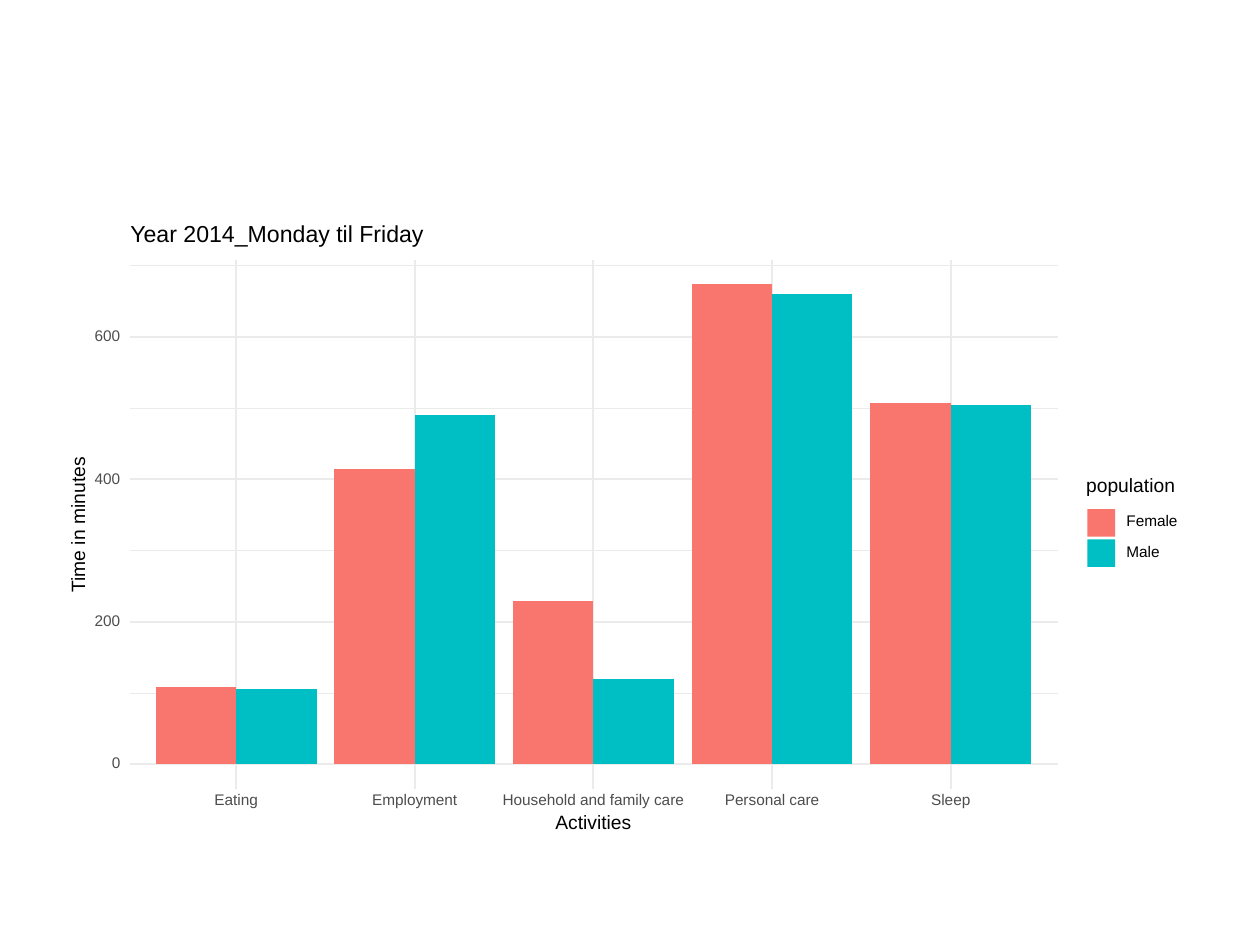
from lxml import etree
from pptx import Presentation
from pptx import util as u
from pptx.chart.data import CategoryChartData
from pptx.dml.color import RGBColor
from pptx.enum import chart as ch, shapes, text
from pptx.oxml import ns

FEMALE = RGBColor(0xF8, 0x76, 0x6D)
MALE = RGBColor(0x00, 0xBF, 0xC4)
GRID = RGBColor(0xEB, 0xEB, 0xEB)
LABEL = RGBColor(0x4D, 0x4D, 0x4D)
BLACK = RGBColor(0, 0, 0)
WHITE = RGBColor(0xFF, 0xFF, 0xFF)
FONT = "Arial"

PANEL = (0.5, 1.75, 9, 4.95)
GRID_LEFT, GRID_RIGHT, GRID_TOP, GRID_BOTTOM = 1.03, 8.4, 2.06, 6.26
BASELINE, PER_HUNDRED, MAX_MINUTES = 6.065, 0.565, 700
FIRST_CENTER, PITCH = 1.874, 1.418

ACTIVITIES = [("Eating", 0.39), ("Employment", 0.72), ("Household and family care", 1.5),
              ("Personal care", 0.8), ("Sleep", 0.36)]
POPULATION = [("Female", FEMALE, (108, 414, 229, 675, 507), 0.45),
              ("Male", MALE, (106, 491, 119, 660, 504), 0.31)]


def minutes_to_y(minutes):
    return BASELINE - minutes / 100 * PER_HUNDRED


def activity_center(index):
    return FIRST_CENTER + index * PITCH


def add_block(slide, left, top, width, height, color):
    block = slide.shapes.add_shape(shapes.MSO_SHAPE.RECTANGLE, u.Inches(left), u.Inches(top),
                                   u.Inches(width), u.Inches(height))
    block.shadow.inherit = False
    block.fill.solid()
    block.fill.fore_color.rgb = color
    block.line.fill.background()


def add_grid_line(slide, x1, y1, x2, y2, weight):
    line = slide.shapes.add_connector(shapes.MSO_CONNECTOR.STRAIGHT, u.Inches(x1), u.Inches(y1),
                                      u.Inches(x2), u.Inches(y2))
    line.line.color.rgb = GRID
    line.line.width = u.Pt(weight)
    etree.SubElement(line._element.spPr, ns.qn("a:effectLst"))


def add_label(slide, wording, left, top, width, height=0.11, size=8.8, color=BLACK,
              align=text.PP_ALIGN.LEFT, rotation=0):
    label = slide.shapes.add_textbox(u.Inches(left), u.Inches(top), u.Inches(width), u.Inches(height))
    label.rotation = rotation
    frame = label.text_frame
    frame.margin_left = frame.margin_right = frame.margin_top = frame.margin_bottom = 0
    frame.word_wrap = False
    frame.vertical_anchor = text.MSO_ANCHOR.MIDDLE
    paragraph = frame.paragraphs[0]
    paragraph.alignment = align
    paragraph.line_spacing = u.Pt(size)
    run = paragraph.add_run()
    run.text = wording
    run.font.name = FONT
    run.font.size = u.Pt(size)
    run.font.color.rgb = color


def add_grid(slide):
    for minutes in (100, 300, 500, 700, 0, 200, 400, 600):
        y = minutes_to_y(minutes)
        add_grid_line(slide, GRID_LEFT, y, GRID_RIGHT, y, 1.07 if minutes % 200 == 0 else 0.53)
    for index in range(len(ACTIVITIES)):
        x = activity_center(index)
        add_grid_line(slide, x, GRID_BOTTOM, x, GRID_TOP, 1.07)


def set_plot_area(chart, left, top, width, height):
    plot_area = chart._chartSpace.chart.plotArea
    for old_layout in plot_area.findall(ns.qn("c:layout")):
        plot_area.remove(old_layout)
    layout = etree.Element(ns.qn("c:layout"))
    manual = etree.SubElement(layout, ns.qn("c:manualLayout"))
    settings = [("layoutTarget", "inner"), ("xMode", "edge"), ("yMode", "edge"),
                ("x", (left - PANEL[0]) / PANEL[2]), ("y", (top - PANEL[1]) / PANEL[3]),
                ("w", width / PANEL[2]), ("h", height / PANEL[3])]
    for name, value in settings:
        etree.SubElement(manual, ns.qn(f"c:{name}")).set("val", str(value))
    plot_area.insert(0, layout)


def add_time_chart(slide):
    times = CategoryChartData()
    times.categories = [name for name, _ in ACTIVITIES]
    for name, _, minutes, _ in POPULATION:
        times.add_series(name, minutes)
    chart = slide.shapes.add_chart(ch.XL_CHART_TYPE.COLUMN_CLUSTERED,
                                   *map(u.Inches, PANEL), times).chart
    chart.has_title = False
    chart.has_legend = False
    chart.font.name = FONT
    chart.font.size = u.Pt(8.8)
    chart.font.color.rgb = LABEL
    chart.value_axis.minimum_scale = 0
    chart.value_axis.maximum_scale = MAX_MINUTES
    chart.value_axis.has_major_gridlines = False
    chart.value_axis.visible = False
    chart.category_axis.visible = False
    bars = chart.plots[0]
    bars.vary_by_categories = False
    bars.gap_width = 22
    bars.overlap = 0
    for series, (_, color, _, _) in zip(bars.series, POPULATION):
        series.format.fill.solid()
        series.format.fill.fore_color.rgb = color
    top = minutes_to_y(MAX_MINUTES)
    set_plot_area(chart, FIRST_CENTER - PITCH / 2, top, PITCH * len(ACTIVITIES), BASELINE - top)


def add_axis_labels(slide):
    for minutes in range(0, MAX_MINUTES, 200):
        width = 0.25 if minutes else 0.1
        add_label(slide, str(minutes), 0.955 - width, minutes_to_y(minutes) - 0.045, width, 0.09,
                  color=LABEL, align=text.PP_ALIGN.RIGHT)
    for index, (name, width) in enumerate(ACTIVITIES):
        add_label(slide, name, activity_center(index) - width / 2, 6.3, width,
                  color=LABEL, align=text.PP_ALIGN.CENTER)
    add_label(slide, "Activities", 4.36, 6.48, 0.7, size=11, align=text.PP_ALIGN.CENTER)
    add_label(slide, "Time in minutes", 0.03, 4.11, 1.2, size=11,
              align=text.PP_ALIGN.CENTER, rotation=270)


def add_legend(slide):
    add_label(slide, "population", 8.62, 3.79, 0.76, 0.14, size=11)
    for index, (name, color, _, width) in enumerate(POPULATION):
        top = 4.04 + index * 0.24
        add_block(slide, 8.63, top, 0.22, 0.22, color)
        add_label(slide, name, 8.94, top + 0.06, width, 0.09)


def main():
    deck = Presentation()
    deck.slide_width, deck.slide_height = u.Inches(10), u.Inches(7.5)
    slide = deck.slides.add_slide(deck.slide_layouts[6])
    add_block(slide, *PANEL, WHITE)
    add_grid(slide)
    add_time_chart(slide)
    add_axis_labels(slide)
    add_legend(slide)
    add_label(slide, "Year 2014_Monday til Friday", 1.035, 1.785, 2.4, 0.17, size=13.2)
    deck.save("out.pptx")


if __name__ == "__main__":
    main()
